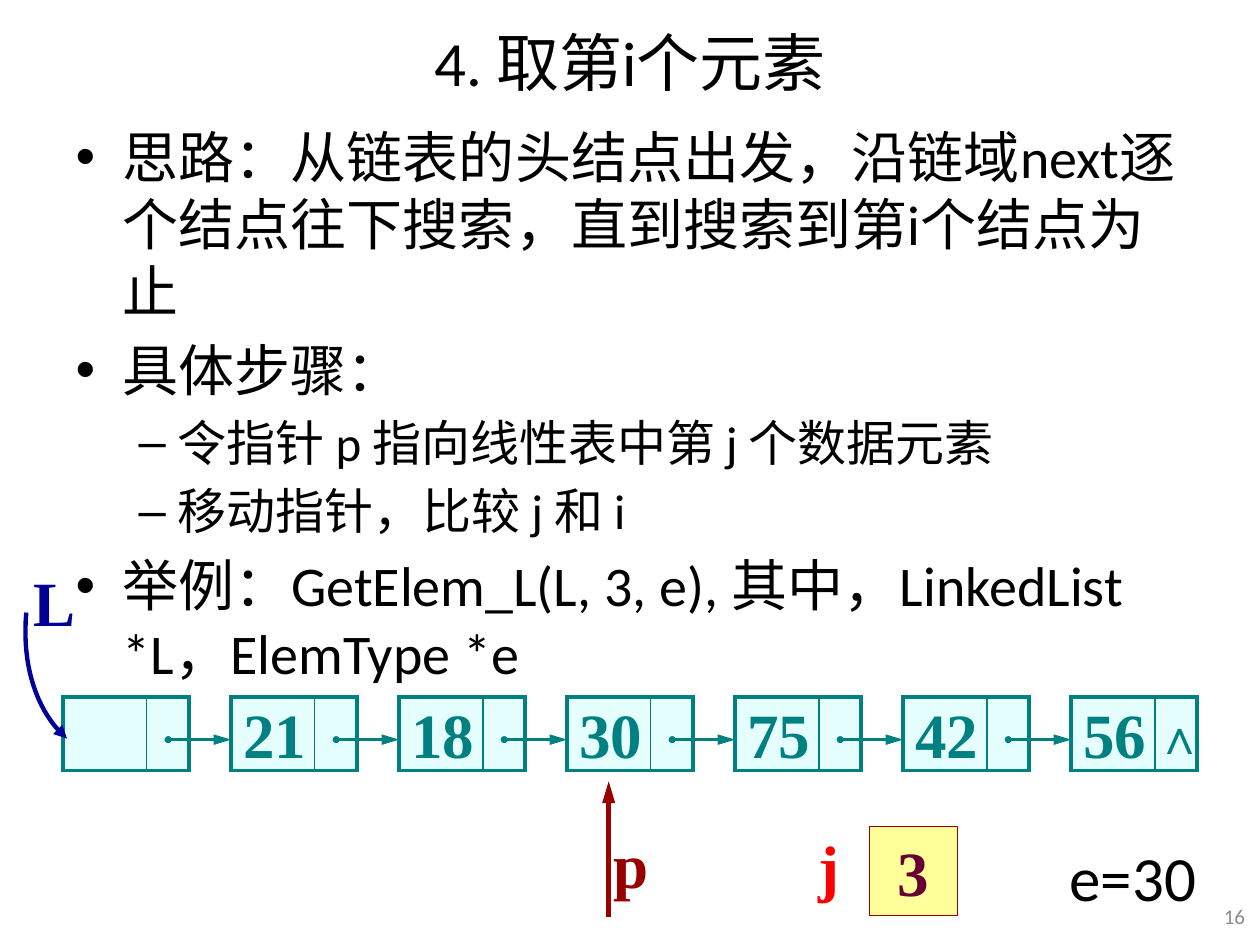
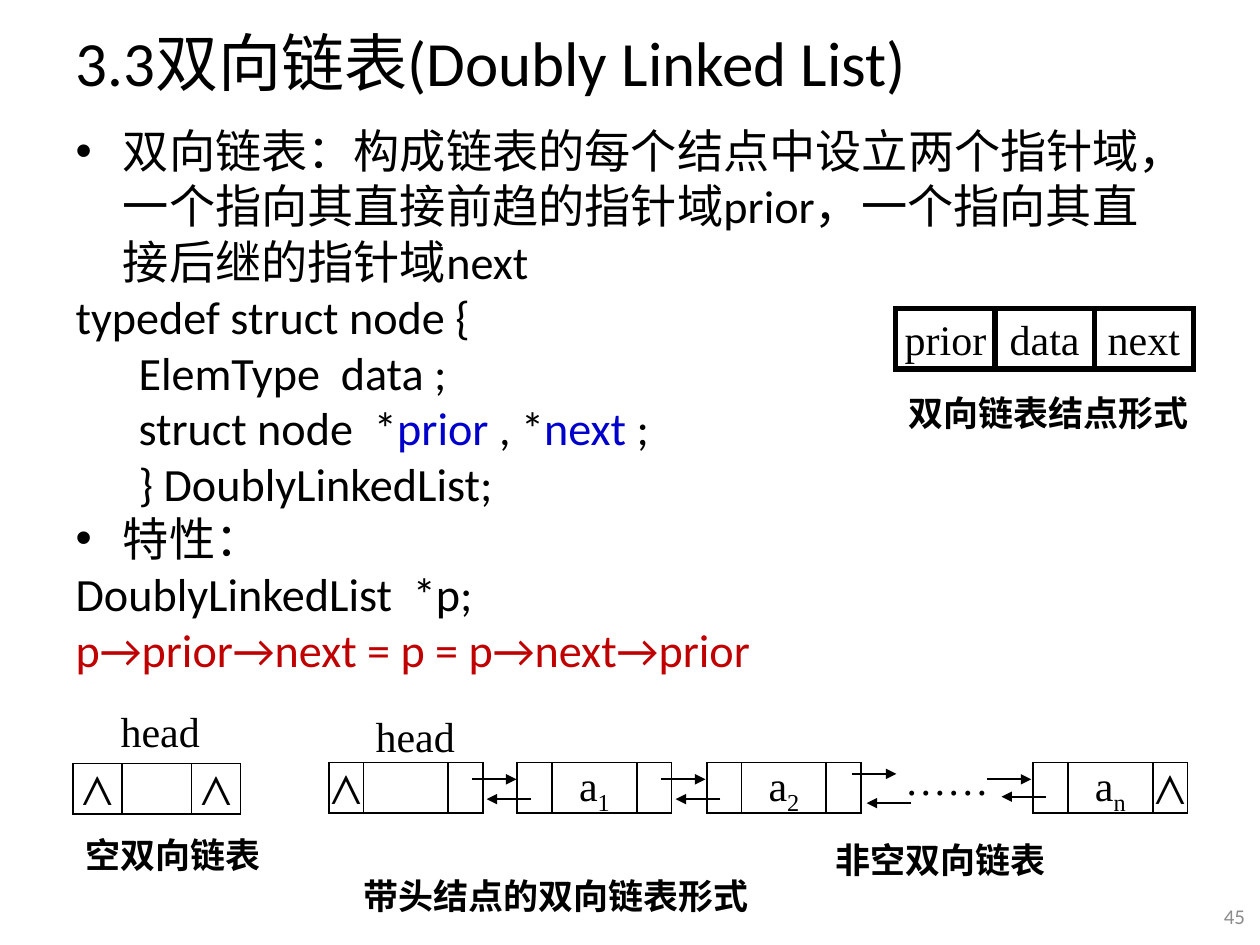
from lxml import etree
from pptx import Presentation
from pptx.dml.color import RGBColor
from pptx.enum import shapes, text
from pptx.oxml import ns
from pptx.util import Cm, Pt

BLACK = RGBColor(0x00, 0x00, 0x00)
GREY = RGBColor(0x8C, 0x8C, 0x8C)
TEAL = RGBColor(0x00, 0x80, 0x80)
PALE_CYAN = RGBColor(0xCC, 0xFF, 0xFF)
NAVY = RGBColor(0x00, 0x00, 0x99)
MAROON = RGBColor(0x99, 0x00, 0x00)
RED = RGBColor(0xFF, 0x00, 0x00)
YELLOW = RGBColor(0xFF, 0xFF, 0x99)
PLUM = RGBColor(0x66, 0x00, 0x33)
CODE_BLUE = RGBColor(0x00, 0x00, 0xCC)
CODE_RED = RGBColor(0xC0, 0x00, 0x00)

SANS, SERIF, CJK = "Calibri", "Times New Roman", "Noto Sans CJK SC"
LEFT, CENTER, RIGHT = text.PP_ALIGN.LEFT, text.PP_ALIGN.CENTER, text.PP_ALIGN.RIGHT
RECT = shapes.MSO_SHAPE.RECTANGLE
ARROW = {"type": "triangle"}
LONG_ARROW = {"type": "triangle", "w": "med", "len": "lg"}
DOT = {"type": "oval", "w": "sm", "len": "sm"}


def lengths(*values):
    """Convert centimetre values to lengths."""
    return [Cm(v) for v in values]


def style_run(r, size, color=BLACK, font=SANS, bold=False):
    """Format one run; CJK fonts also apply to East Asian text."""
    r.font.size, r.font.name, r.font.bold = Pt(size), font, bold
    r.font.color.rgb = color
    if font == CJK:
        ea = etree.SubElement(r._r.get_or_add_rPr(), ns.qn("a:ea"))
        ea.set("typeface", font)


def write(sp, words, size, color=BLACK, font=SERIF, bold=False, align=LEFT, sub=""):
    """Put one vertically centred line into a shape, with an optional subscript."""
    tf = sp.text_frame
    tf.word_wrap = False
    tf.vertical_anchor = text.MSO_ANCHOR.MIDDLE
    if align == CENTER:
        tf.margin_left = tf.margin_right = tf.margin_top = tf.margin_bottom = 0
    p = tf.paragraphs[0]
    p.text, p.alignment = words, align
    if sub:
        r = p.add_run()
        r.text = sub
        r._r.get_or_add_rPr().set("baseline", "-25000")
    for r in p.runs:
        style_run(r, size, color, font, bold)


def add_label(slide, box, words, size, **look):
    """Add a text box holding one line."""
    sp = slide.shapes.add_textbox(*lengths(*box))
    write(sp, words, size, **look)


def add_rect(slide, box, line, width, fill=None):
    """Add a plain rectangle with a sharp-cornered outline."""
    sp = slide.shapes.add_shape(RECT, *lengths(*box))
    sp.shadow.inherit = False
    sp.line.color.rgb, sp.line.width = line, Pt(width)
    etree.SubElement(sp.line._get_or_add_ln(), ns.qn("a:miter")).set("lim", "800000")
    if fill is None:
        sp.fill.background()
    else:
        sp.fill.solid()
        sp.fill.fore_color.rgb = fill
    return sp


def set_ends(sp, head=None, tail=None):
    """Set the line ends of a shape or connector."""
    ln = sp.line._get_or_add_ln()
    for tag, end in (("a:headEnd", head), ("a:tailEnd", tail)):
        if end:
            etree.SubElement(ln, ns.qn(tag), end)


def add_line(slide, start, end, color, width, head=None, tail=None):
    """Add a straight connector without a shadow."""
    sp = slide.shapes.add_connector(
        shapes.MSO_CONNECTOR.STRAIGHT, *lengths(*start, *end))
    sp.line.color.rgb, sp.line.width = color, Pt(width)
    set_ends(sp, head, tail)
    etree.SubElement(sp._element.spPr, ns.qn("a:effectLst"))


def start_slide(prs, title, align, number, body_height):
    """Add a slide with its title and number; return it with its body frame."""
    slide = prs.slides.add_slide(prs.slide_layouts[1])
    boxes = ((1.27, 0.13, 22.86, 2.21), (1.27, 2.34, 22.86, body_height))
    for sp, box in zip(slide.placeholders, boxes):
        sp.left, sp.top, sp.width, sp.height = lengths(*box)
        sp.text_frame.auto_size = text.MSO_AUTO_SIZE.NONE
    p = slide.shapes.title.text_frame.paragraphs[0]
    p.text, p.alignment = title, align
    style_run(p.runs[0], 36)
    add_label(slide, (24.31, 17.93, 1.04, 1.07), number, 12,
              color=GREY, font=SANS, align=RIGHT)
    return slide, slide.placeholders[1].text_frame


def add_paragraph(tf, index, runs, size):
    """Write (text, colour) runs as paragraph number index."""
    p = tf.paragraphs[0] if index == 0 else tf.add_paragraph()
    for words, color in runs:
        r = p.add_run()
        r.text = words
        style_run(r, size, color)
    return p


def fill_steps(tf, items):
    """Fill the body with a two-level bulleted list."""
    for i, (level, words) in enumerate(items):
        p = add_paragraph(tf, i, [(words, BLACK)], 28 if level else 32)
        p.level = level


def fill_code(tf, items):
    """Fill the body with bullets and unbulleted, indented code lines."""
    for i, (kind, runs) in enumerate(items):
        p = add_paragraph(tf, i, runs, 26.4)
        p.space_before = Pt(0)
        if kind != "bullet":
            pPr = p._p.get_or_add_pPr()
            pPr.set("marL", str(Cm(1.27 if kind == "inner" else 0)))
            pPr.set("indent", "0")
            etree.SubElement(pPr, ns.qn("a:buNone"))


def add_list_node(slide, x, y, value, is_last):
    """Draw a singly linked node: data cell, pointer cell and outgoing arrow."""
    sp = add_rect(slide, (x, y, 2.54, 1.48), TEAL, 2, PALE_CYAN)
    clr = sp._element.spPr.find(ns.qn("a:solidFill"))[0]
    etree.SubElement(clr, ns.qn("a:alpha")).set("val", "50000")
    write(sp, value, 36, color=TEAL, bold=True)
    add_line(slide, (x + 1.69, y), (x + 1.69, y + 1.48), TEAL, 0.75)
    if is_last:
        add_label(slide, (x + 1.45, y + 0.05, 1.5, 1.45), "∧", 28,
                  color=TEAL, bold=True, align=CENTER)
    else:
        add_line(slide, (x + 2.12, y + 0.86), (x + 3.39, y + 0.86),
                 TEAL, 2, DOT, LONG_ARROW)


def add_linked_list(slide, x, y, values):
    """Draw the chain of nodes with its list pointer."""
    for i, value in enumerate(values):
        add_list_node(slide, x + i * 3.387, y, value, i == len(values) - 1)
    add_label(slide, (x - 0.84, y - 2.82, 1.35, 1.78), "L", 36, color=NAVY, bold=True)
    add_head_curve(slide, x, y)


def add_head_curve(slide, x, y):
    """Draw the curved arrow from the list pointer to the head node."""
    controls = ((-0.74, -1.7), (-0.84, -0.6), (-0.51, 0.33), (0.08, 0.84))
    points = []
    for step in range(21):
        t = step / 20
        weights = ((1 - t) ** 3, 3 * t * (1 - t) ** 2, 3 * t * t * (1 - t), t ** 3)
        dx, dy = (sum(w * c[k] for w, c in zip(weights, controls)) for k in (0, 1))
        points.append((Cm(x + dx), Cm(y + dy)))
    builder = slide.shapes.build_freeform(*points[0])
    builder.add_line_segments(points[1:], close=False)
    sp = builder.convert_to_shape()
    sp.shadow.inherit = False
    sp.fill.background()
    sp.line.color.rgb, sp.line.width = NAVY, Pt(2.5)
    set_ends(sp, tail=ARROW)


def add_search_state(slide, x, y):
    """Draw pointer p, counter j and the fetched element."""
    add_line(slide, (x, y), (x, y + 2.74), MAROON, 2.5, head=LONG_ARROW)
    add_label(slide, (x - 0.15, y + 0.76, 1.22, 1.78), "p", 36, color=MAROON, bold=True)
    add_label(slide, (x + 3.99, y + 0.81, 0.94, 1.78), "j", 36, color=RED, bold=True)
    sp = add_rect(slide, (x + 5.26, y + 0.91, 1.78, 1.8), MAROON, 0.75, YELLOW)
    write(sp, "3", 36, color=PLUM, bold=True, align=CENTER)
    add_label(slide, (x + 9.04, y + 1.01, 3.1, 1.8), "e=30", 36, font=SANS)


def add_double_node(slide, x, y, side, middle, height, labels, width=1, sub=""):
    """Draw a node of three cells: prior, data and next."""
    for i, (size, words) in enumerate(zip((side, middle, side), labels)):
        sp = add_rect(slide, (x, y, size, height), BLACK, width)
        if words:
            write(sp, words, 24, align=CENTER, sub=sub if i == 1 else "")
        x += size


def add_empty_list(slide, x, y):
    """Draw the empty doubly linked list."""
    add_label(slide, (x + 0.81, y - 1.17, 1.9, 1.02), "head", 24, align=CENTER)
    add_double_node(slide, x, y, 0.99, 1.4, 1.02, ("⋀", "", "⋀"))
    add_label(slide, (x + 0.03, y + 1.32, 3.99, 1.02), "空双向链表", 20,
              font=CJK, bold=True, align=CENTER)


def add_full_list(slide, x, y):
    """Draw the non-empty doubly linked list with its two-way links."""
    add_label(slide, (x + 0.84, y - 1.04, 1.8, 1.02), "head", 24, align=CENTER)
    nodes = ((0, ("⋀", "", ""), ""), (3.8, ("", "a", ""), "1"),
             (7.62, ("", "a", ""), "2"), (14.2, ("", "a", "⋀"), "n"))
    for dx, labels, sub in nodes:
        add_double_node(slide, x + dx, y, 0.7, 1.71, 1.02, labels, sub=sub)
    links = ((2.88, 0.34, 0.74), (6.69, 0.34, 0.74), (10.54, 0.23, 0.82), (13.26, 0.34, 0.69))
    for dx, there, back in links:
        left = x + dx
        add_line(slide, (left, y + there), (left + 0.9, y + there), BLACK, 1, tail=ARROW)
        add_line(slide, (left + 1.2, y + back), (left + 0.3, y + back), BLACK, 1, tail=ARROW)
    add_label(slide, (x + 11.46, y - 0.18, 2, 1.02), "……", 24, align=CENTER)
    add_label(slide, (x + 10.03, y + 1.45, 4.6, 1.02), "非空双向链表", 20,
              font=CJK, bold=True, align=CENTER)


def add_node_form(slide, x, y):
    """Draw the named fields of a doubly linked node with a caption."""
    add_double_node(slide, x, y, 2, 2, 1.22, ("prior", "data", "next"), width=3)
    add_label(slide, (x, y + 1.63, 6.3, 0.94), "双向链表结点形式", 20, font=CJK, bold=True)


def build_get_element(prs):
    """Build the slide on fetching the i-th element."""
    slide, tf = start_slide(prs, "4. 取第i个元素", CENTER, "16", 16.54)
    fill_steps(tf, (
        (0, "思路：从链表的头结点出发，沿链域next逐个结点往下搜索，直到搜索到第i个结点为止"),
        (0, "具体步骤："),
        (1, "令指针 p 指向线性表中第 j 个数据元素"),
        (1, "移动指针，比较 j 和 i"),
        (0, "举例：GetElem_L(L, 3, e), 其中，LinkedList *L，ElemType *e"),
    ))
    add_linked_list(slide, 1.27, 14.05, ("", "21", "18", "30", "75", "42", "56"))
    add_search_state(slide, 12.27, 15.75)


def build_doubly_linked(prs):
    """Build the slide on doubly linked lists."""
    slide, tf = start_slide(prs, "3.3双向链表(Doubly Linked List)", LEFT, "45", 11.94)
    fill_code(tf, (
        ("bullet", [("双向链表：构成链表的每个结点中设立两个指针域，一个指向其直接前趋的指针域prior，"
                     "一个指向其直接后继的指针域next", BLACK)]),
        ("outer", [("typedef struct node {", BLACK)]),
        ("inner", [("ElemType  data ;", BLACK)]),
        ("inner", [("struct node  *", BLACK), ("prior", CODE_BLUE), (" , *", BLACK),
                   ("next", CODE_BLUE), (" ;", BLACK)]),
        ("inner", [("} DoublyLinkedList;", BLACK)]),
        ("bullet", [("特性：", BLACK)]),
        ("outer", [("DoublyLinkedList  *p;", BLACK)]),
        ("outer", [("p→prior→next = p = p→next→prior", CODE_RED)]),
    ))
    add_node_form(slide, 18.06, 6.22)
    add_empty_list(slide, 1.47, 15.39)
    add_full_list(slide, 6.63, 15.37)
    add_label(slide, (4.75, 17.5, 12.93, 1.12), "带头结点的双向链表形式", 20,
              font=CJK, bold=True, align=CENTER)


def main():
    """Build and save the presentation."""
    prs = Presentation()
    prs.slide_width, prs.slide_height = lengths(25.4, 19.05)
    build_get_element(prs)
    build_doubly_linked(prs)
    prs.save("out.pptx")


if __name__ == "__main__":
    main()
